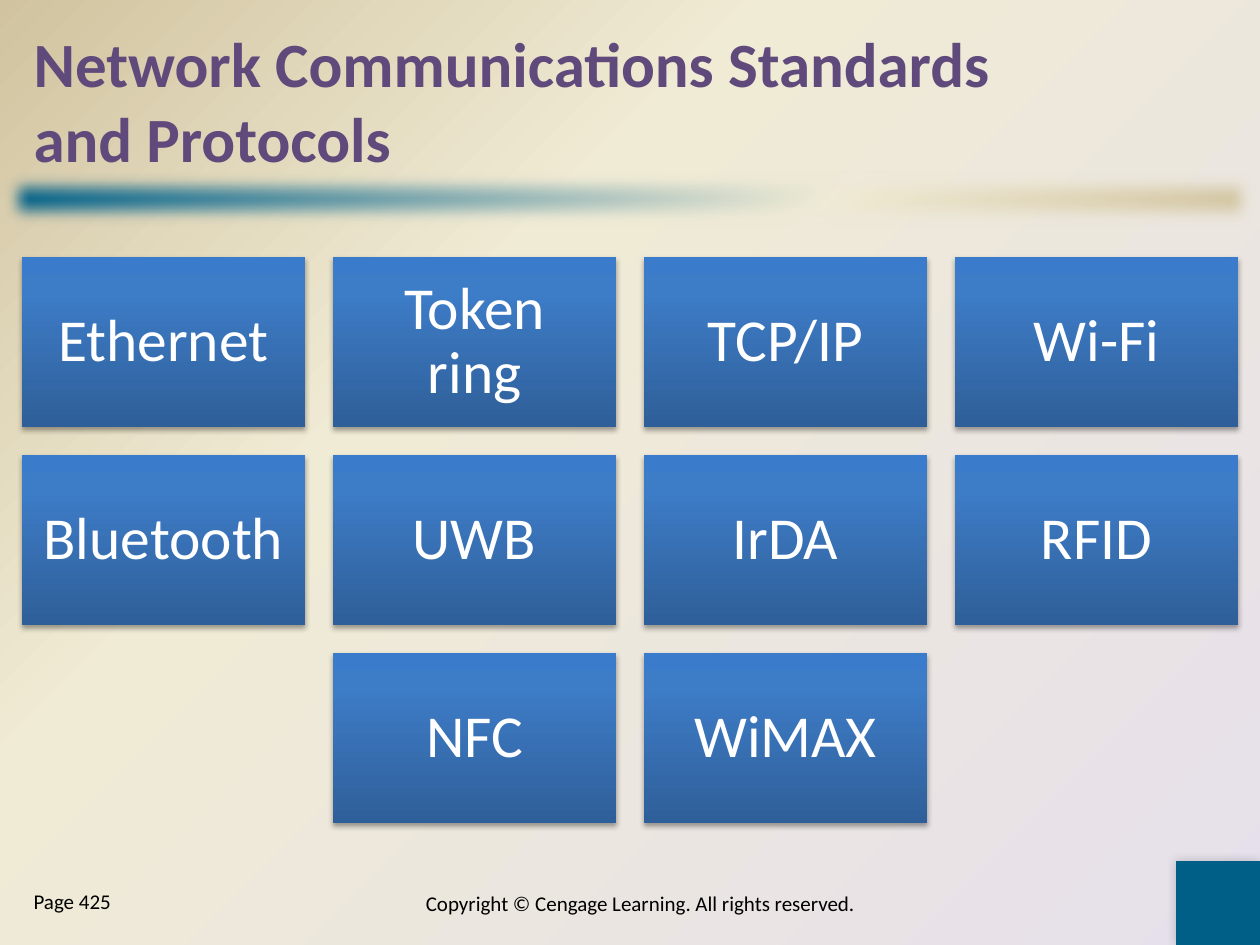
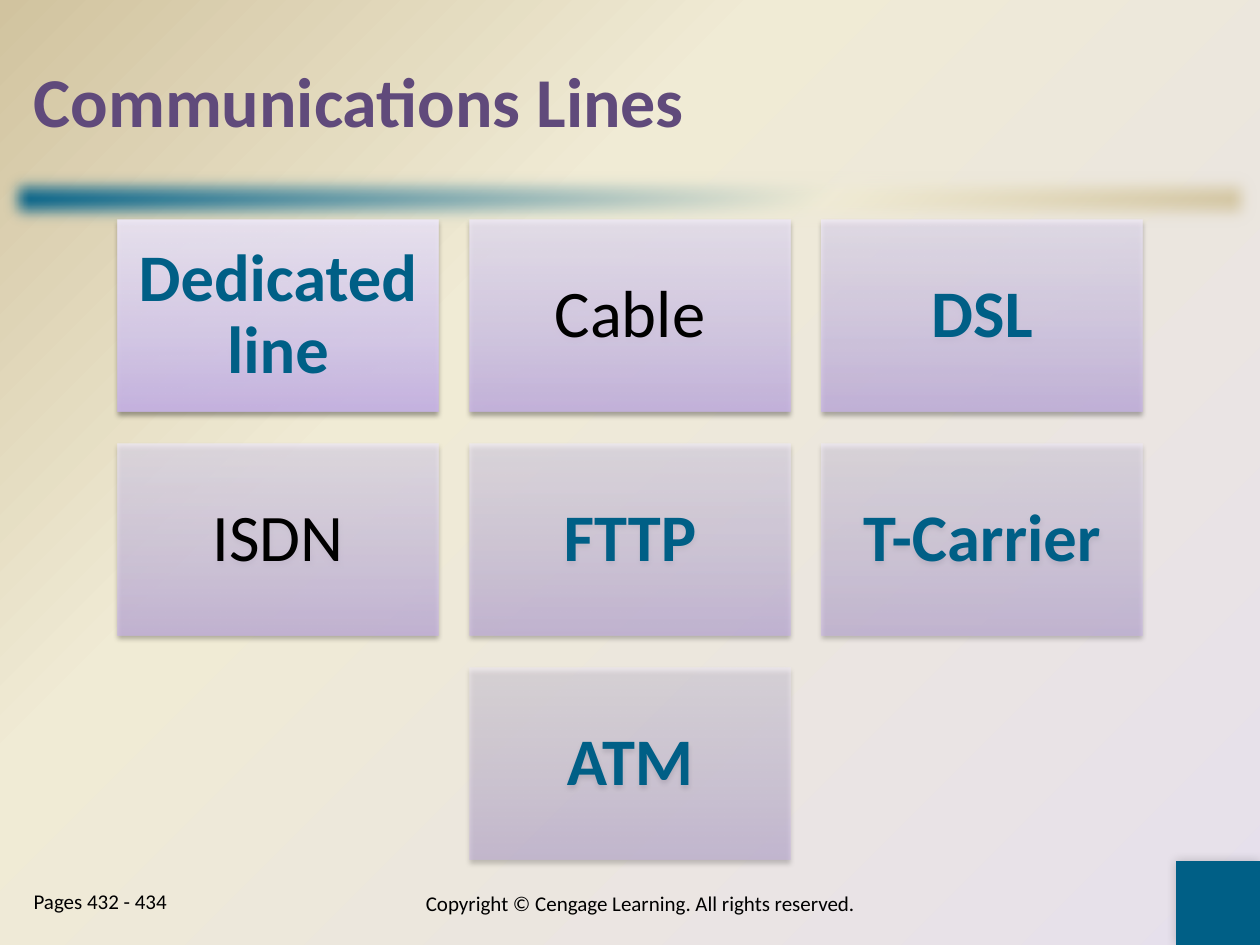
from lxml import etree
from pptx import Presentation
from pptx import util as u
from pptx.dml.color import RGBColor
from pptx.enum import shapes, text
from pptx.oxml import ns

DPI = 126
SLIDE_W, SLIDE_H = 1260, 945
COLORS = {
    "title": "604A7B", "teal": "005F86", "cream": "F0EBD5", "tan": "D1C39F",
    "mist": "E6E0EC", "black": "000000", "white": "FFFFFF",
    "blue_dark": "2F5F99", "blue": "3D7CC7", "blue_top": "3A7CCB",
    "lilac_dark": "C9B5E8", "lilac": "D8CBEE", "lilac_top": "F0EAF9",
}
BACKDROP = [(0, "mist"), (65, "cream"), (100, "tan")]
BAND = [(0, "teal"), (65, "cream"), (100, "tan")]
BLUES = [(0, "blue_dark"), (80, "blue"), (100, "blue_top")]
LILACS = [(0, "lilac_dark"), (35, "lilac"), (100, "lilac_top")]
COPYRIGHT = "Copyright © Cengage Learning. All rights reserved."


def px(n):
    return u.Emu(round(n * u.Inches(1) / DPI))


def add(parent, tag, **attrs):
    return etree.SubElement(parent, ns.qn(tag), {k: str(v) for k, v in attrs.items()})


def apply(target, values):
    for name, value in values.items():
        setattr(target, name, value)


class Deck:
    def __init__(self):
        self.prs = Presentation()
        self.prs.slide_width, self.prs.slide_height = px(SLIDE_W), px(SLIDE_H)
        master = self.prs.slide_master
        master.background.fill.gradient()
        bg = master.element.find(".//" + ns.qn("p:bgPr"))
        grad = self.gradient(bg, BACKDROP)
        circle = add(grad, "a:path", path="circle")
        add(circle, "a:fillToRect", l=100000, t=100000)

    def gradient(self, parent, stops, alpha=100):
        grad = parent.find(ns.qn("a:gradFill"))
        for child in list(grad):
            grad.remove(child)
        gs_lst = add(grad, "a:gsLst")
        for pos, name in stops:
            gs = add(gs_lst, "a:gs", pos=pos * 1000)
            clr = add(gs, "a:srgbClr", val=COLORS[name])
            if alpha < 100:
                add(clr, "a:alpha", val=round(alpha * 1000))
        return grad

    def rect(self, box, fill, angle=0, alpha=100):
        sp = self.s.shapes.add_shape(shapes.MSO_SHAPE.RECTANGLE, *map(px, box))
        sp.shadow.inherit = False
        sp.line.fill.background()
        if isinstance(fill, str):
            sp.fill.solid()
            sp.fill.fore_color.rgb = RGBColor.from_string(COLORS[fill])
        else:
            sp.fill.gradient()
            grad = self.gradient(sp.element.spPr, fill, alpha)
            add(grad, "a:lin", ang=angle * 60000, scaled=0)
        return sp

    def effect(self, sp, tag, **attrs):
        return add(sp.element.spPr.find(ns.qn("a:effectLst")), tag, **attrs)

    def shadow(self, sp, alpha, blur, dist, angle):
        shdw = self.effect(sp, "a:outerShdw", blurRad=u.Pt(blur), dist=u.Pt(dist),
                           dir=angle * 60000, rotWithShape=0)
        add(add(shdw, "a:srgbClr", val=COLORS["black"]), "a:alpha", val=alpha * 1000)

    def label(self, sp, words, size, color="black", bold=False, align="LEFT",
              anchor="MIDDLE", inset=None, spacing=1.0):
        tf = sp.text_frame
        tf.text = words
        apply(tf, {"word_wrap": True, "auto_size": text.MSO_AUTO_SIZE.NONE,
                   "vertical_anchor": text.MSO_ANCHOR[anchor]})
        if inset is not None:
            apply(tf, {f"margin_{side}": px(inset)
                       for side in ("left", "top", "right", "bottom")})
        p = tf.paragraphs[0]
        apply(p, {"alignment": text.PP_ALIGN[align], "line_spacing": spacing,
                  "space_before": u.Pt(0)})
        for r in p.runs:
            apply(r.font, {"name": "Calibri", "size": u.Pt(size), "bold": bold})
            r.font.color.rgb = RGBColor.from_string(COLORS[color])

    def place(self, sp, box):
        apply(sp, dict(zip(("left", "top", "width", "height"), map(px, box))))

    def slide(self, title, title_size, pages):
        self.s = self.prs.slides.add_slide(self.prs.slide_layouts[1])
        band = self.rect((0, 168, SLIDE_W, 63), BAND, 45)
        self.effect(band, "a:softEdge", rad=u.Pt(10))
        corner = self.rect((1176, 861, 84, 84), "teal")
        self.shadow(corner, 20, 6, 0, 225)

        heading, body = self.s.placeholders
        self.place(heading, (21, 21, 1218, 158))
        self.label(heading, title, title_size, "title", True)
        self.place(body, (21, 882, 231, 63))
        self.label(body, pages, 12, anchor="TOP")
        pPr = body.text_frame.paragraphs[0]._p.get_or_add_pPr()
        for name in ("marL", "indent"):
            pPr.set(name, "0")
        add(pPr, "a:buNone")

        notice = self.s.shapes.add_textbox(*map(px, (378, 872, 525, 63)))
        self.label(notice, COPYRIGHT, 12, align="CENTER")

    def tile(self, box, words, stops, alpha, shadow, **style):
        sp = self.rect(box, stops, 270, alpha)
        self.shadow(sp, *shadow)
        self.label(sp, words, align="CENTER", spacing=0.9, **style)

    def grid(self, rows, top, width, height, gap, stops, shadow, size, inset,
             color, key_terms=(), fade=(100, 100)):
        last = sum(map(len, rows)) - 1
        start, end = fade
        index = 0
        for i, row in enumerate(rows):
            left = (SLIDE_W - len(row) * (width + gap) + gap) // 2
            for j, words in enumerate(row):
                alpha = start + (end - start) * index / last
                key = words in key_terms
                box = (left + j * (width + gap), top + i * (height + gap), width, height)
                self.tile(box, words, stops, alpha, shadow, size=size, inset=inset,
                          color="teal" if key else color, bold=key)
                index += 1


def main():
    deck = Deck()

    deck.slide("Network Communications Standards\vand Protocols", 36, "Page 425")
    deck.grid([["Ethernet", "Token ring", "TCP/IP", "Wi-Fi"],
               ["Bluetooth", "UWB", "IrDA", "RFID"],
               ["NFC", "WiMAX"]],
              top=257, width=283, height=170, gap=28, stops=BLUES,
              shadow=(35, 3.1, 1.8, 90), size=34, inset=18, color="white")

    deck.slide("Communications Lines", 40, "Pages 432 - 434")
    deck.grid([["Dedicated line", "Cable", "DSL"],
               ["ISDN", "FTTP", "T-Carrier"],
               ["ATM"]],
              top=220, width=320, height=192, gap=32, stops=LILACS,
              shadow=(38, 3.1, 1.6, 90), size=38, inset=20, color="black",
              key_terms=("Dedicated line", "DSL", "FTTP", "T-Carrier", "ATM"),
              fade=(90, 50))

    deck.prs.save("out.pptx")


if __name__ == "__main__":
    main()
